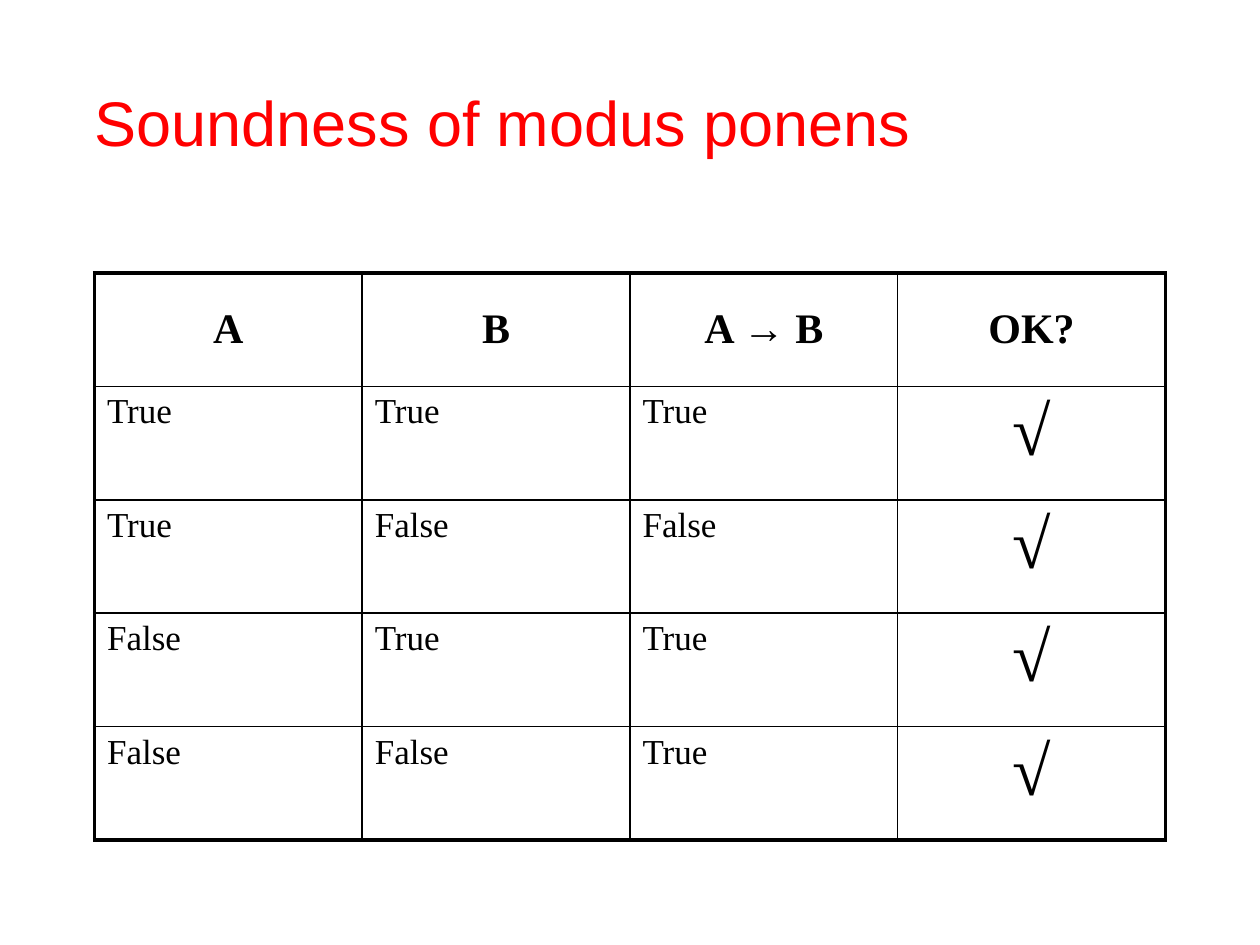
from lxml import etree
from pptx import Presentation
from pptx.dml.color import RGBColor
from pptx.enum.text import MSO_ANCHOR, PP_ALIGN
from pptx.oxml.ns import qn
from pptx.util import Pt

PX = 7620  # 120 px to the inch
RED = RGBColor(0xFF, 0x00, 0x00)
BLACK = RGBColor(0x00, 0x00, 0x00)
CENTER, LEFT = PP_ALIGN.CENTER, PP_ALIGN.LEFT
TOP, MIDDLE = MSO_ANCHOR.TOP, MSO_ANCHOR.MIDDLE
OUTER, INNER = Pt(2.25), Pt(1)

ROWS = [
    ["A", "B", "A → B", "OK?"],
    ["True", "True", "True", "√"],
    ["True", "False", "False", "√"],
    ["False", "True", "True", "√"],
    ["False", "False", "True", "√"],
]


def add_border(cell, side, width):
    line = etree.SubElement(cell._tc.get_or_add_tcPr(), qn(f"a:ln{side}"), w=str(width))
    fill = etree.SubElement(line, qn("a:solidFill"))
    etree.SubElement(fill, qn("a:srgbClr"), val=str(BLACK))


deck = Presentation()
deck.slide_width, deck.slide_height = 1200 * PX, 900 * PX
page = deck.slides.add_slide(deck.slide_layouts[6])

# Title
title = page.shapes.add_textbox(90 * PX, 80 * PX, 1020 * PX, 150 * PX)
frame = title.text_frame
frame.word_wrap = True
frame.margin_left = frame.margin_top = frame.margin_right = frame.margin_bottom = 0
para = frame.paragraphs[0]
para.text = "Soundness of modus ponens"
para.font.name = "Arial"
para.font.size = Pt(36)
para.font.color.rgb = RED

# Truth table
last_row, last_col = len(ROWS) - 1, len(ROWS[0]) - 1
table = page.shapes.add_table(
    len(ROWS), len(ROWS[0]), 90 * PX, 260 * PX, 1020 * PX, 540 * PX
).table
table.first_row = table.horz_banding = False

for r, texts in enumerate(ROWS):
    for c, text in enumerate(texts):
        cell = table.cell(r, c)
        is_header, is_check = r == 0, c == last_col

        # Heavy frame, thin inner grid
        for side, on_edge in (("L", c == 0), ("R", c == last_col),
                              ("T", r == 0), ("B", r == last_row)):
            add_border(cell, side, OUTER if on_edge else INNER)
        cell.fill.background()

        cell.vertical_anchor = MIDDLE if is_header else TOP
        para = cell.text_frame.paragraphs[0]
        para.text = text
        para.alignment = CENTER if is_header or is_check else LEFT
        para.font.name = "Times New Roman"
        para.font.size = Pt(24 if is_header else 40 if is_check else 20)
        para.font.bold = is_header or is_check
        para.font.color.rgb = BLACK

deck.save("out.pptx")
